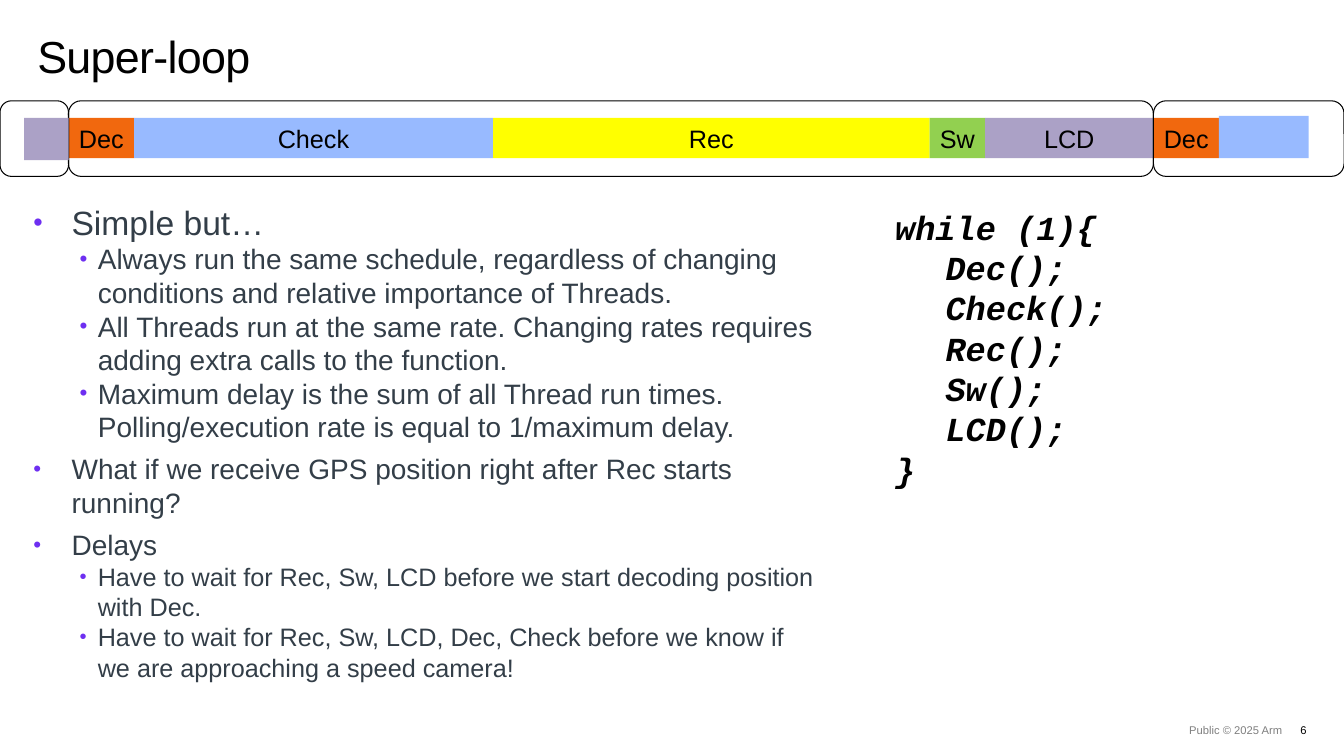
from pptx import Presentation
from pptx.dml.color import RGBColor
from pptx.enum import shapes, text
from pptx.oxml import xmlchemy
from pptx.oxml.ns import qn
from pptx.util import Inches, Pt
from lxml import etree

BLACK = RGBColor(0x00, 0x00, 0x00)
GREY = RGBColor(0x7F, 0x7F, 0x7F)
SLATE = RGBColor(0x33, 0x3E, 0x48)
VIOLET = RGBColor(0x6E, 0x2F, 0xF1)
ORANGE = RGBColor(0xF1, 0x68, 0x0E)
BLUE = RGBColor(0x98, 0xBA, 0xFF)
YELLOW = RGBColor(0xFF, 0xFF, 0x00)
GREEN = RGBColor(0x92, 0xD0, 0x50)
LILAC = RGBColor(0xAB, 0xA1, 0xC6)

TITLE = "Super-loop"
TASKS = [
    ("Dec", 0.65, ORANGE),
    ("Check", 3.56, BLUE),
    ("Rec", 4.33, YELLOW),
    ("Sw", 0.55, GREEN),
    ("LCD", 1.67, LILAC),
    ("Dec", 0.65, ORANGE),
]
PARTIAL_TASKS = [(12.09, 1.15, 0.89, BLUE), (0.24, 1.17, 0.44, LILAC)]
LOOP_EDGES = [0, 0.68, 11.44, 13.33]
BULLETS = [
    (0, 24, "Simple but…"),
    (1, 20, "Always run the same schedule, regardless of changing conditions "
            "and relative importance of Threads."),
    (1, 20, "All Threads run at the same rate. Changing rates requires adding "
            "extra calls to the function."),
    (1, 20, "Maximum delay is the sum of all Thread run times. "
            "Polling/execution rate is equal to 1/maximum delay."),
    (0, 20, "What if we receive GPS position right after Rec starts running?"),
    (0, 20, "Delays"),
    (1, 18, "Have to wait for Rec, Sw, LCD before we start decoding position "
            "with Dec."),
    (1, 18, "Have to wait for Rec, Sw, LCD, Dec, Check before we know if we "
            "are approaching a speed camera!"),
]
INDENTS = [(0.38, -0.38), (0.64, -0.18)]
CODE = ["while (1){", "\tDec();", "\tCheck();", "\tRec();", "\tSw();",
        "\tLCD();", "}"]
FOOTERS = [("6", 12.62, 0.34, BLACK), ("Public © 2025 Arm", 7.65, 5.07, GREY)]


def add_bullet(p, level):
    pPr = p._p.get_or_add_pPr()
    left, hanging = INDENTS[level]
    pPr.set("marL", str(Inches(left)))
    pPr.set("indent", str(Inches(hanging)))
    color = etree.SubElement(pPr, qn("a:buClr"))
    etree.SubElement(color, qn("a:srgbClr"), val=str(VIOLET))
    etree.SubElement(pPr, qn("a:buSzPct"), val="80000")
    etree.SubElement(pPr, qn("a:buFont"), typeface="Arial")
    etree.SubElement(pPr, qn("a:buChar"), char="•")
    p.level = level


def write(p, words, size=18, color=BLACK, font="Arial", bold=False,
          italic=False, align=text.PP_ALIGN.LEFT, spacing=None, before=0,
          level=None, tracking=None):
    if level is not None:
        add_bullet(p, level)
    p.alignment = align
    if spacing:
        p.line_spacing = spacing
    if before:
        p.space_before = Pt(before)
    r = p.add_run()
    r.text = words
    r.font.size = Pt(size)
    r.font.name = font
    r.font.bold = bold
    r.font.italic = italic
    r.font.color.rgb = color
    if tracking:
        r._r.get_or_add_rPr().set("spc", str(int(tracking * 100)))


def set_frame(tf, side=0, edge=0, wrap=True, anchor=text.MSO_ANCHOR.TOP):
    tf.margin_left = tf.margin_right = Inches(side)
    tf.margin_top = tf.margin_bottom = Inches(edge)
    tf.word_wrap = wrap
    tf.vertical_anchor = anchor
    return tf


def add_box(s, x, y, w, h, **frame):
    sp = s.shapes.add_textbox(Inches(x), Inches(y), Inches(w), Inches(h))
    return set_frame(sp.text_frame, **frame)


def add_block(s, kind, x, y, w, h, fill=None):
    sp = s.shapes.add_shape(kind, Inches(x), Inches(y), Inches(w), Inches(h))
    sp.shadow.inherit = False
    if fill is None:
        sp.fill.background()
        sp.line.color.rgb = BLACK
        sp.line.width = Pt(0.75)
    else:
        sp.fill.solid()
        sp.fill.fore_color.rgb = fill
        sp.line.fill.background()
    return sp


def add_paragraph(tf, index):
    return tf.add_paragraph() if index else tf.paragraphs[0]


def main():
    prs = Presentation()
    prs.slide_width, prs.slide_height = Inches(13.33), Inches(7.5)
    s = prs.slides.add_slide(prs.slide_layouts[5])

    title = s.shapes.title
    title.left, title.top = Inches(0.37), Inches(0.36)
    title.width, title.height = Inches(12.28), Inches(0.46)
    tf = set_frame(title.text_frame, anchor=text.MSO_ANCHOR.BOTTOM)
    tf.auto_size = text.MSO_AUTO_SIZE.NONE
    write(tf.paragraphs[0], TITLE, size=32, spacing=0.85, tracking=-0.5)

    for words, x, w, color in FOOTERS:
        tf = add_box(s, x, 7.19, w, 0.12)
        write(tf.paragraphs[0], words, size=8, color=color, spacing=0.9,
              align=text.PP_ALIGN.RIGHT)

    tf = add_box(s, 0.33, 2, 7.78, 5.5)
    for i, (level, size, words) in enumerate(BULLETS):
        write(add_paragraph(tf, i), words, size=size, color=SLATE, level=level,
              before=6 if i and level == 0 else 0)

    x = LOOP_EDGES[1]
    for words, w, fill in TASKS:
        sp = add_block(s, shapes.MSO_SHAPE.RECTANGLE, x, 1.17, w, 0.4, fill)
        tf = set_frame(sp.text_frame, edge=0.05, wrap=False,
                       anchor=text.MSO_ANCHOR.MIDDLE)
        write(tf.paragraphs[0], words, align=text.PP_ALIGN.CENTER)
        x += w

    tf = add_box(s, 8.78, 2, 4, 3.19, side=0.1, edge=0.05)
    for i, line in enumerate(CODE):
        write(add_paragraph(tf, i), line, size=24, font="Courier New",
              bold=True, italic=True)

    for left, right in zip(LOOP_EDGES, LOOP_EDGES[1:]):
        sp = add_block(s, shapes.MSO_SHAPE.ROUNDED_RECTANGLE, left, 1,
                       right - left, 0.75)
        sp.adjustments[0] = 0.167

    for x, y, w, fill in PARTIAL_TASKS:
        add_block(s, shapes.MSO_SHAPE.RECTANGLE, x, y, w, 0.42, fill)

    prs.save("out.pptx")


if __name__ == "__main__":
    main()
